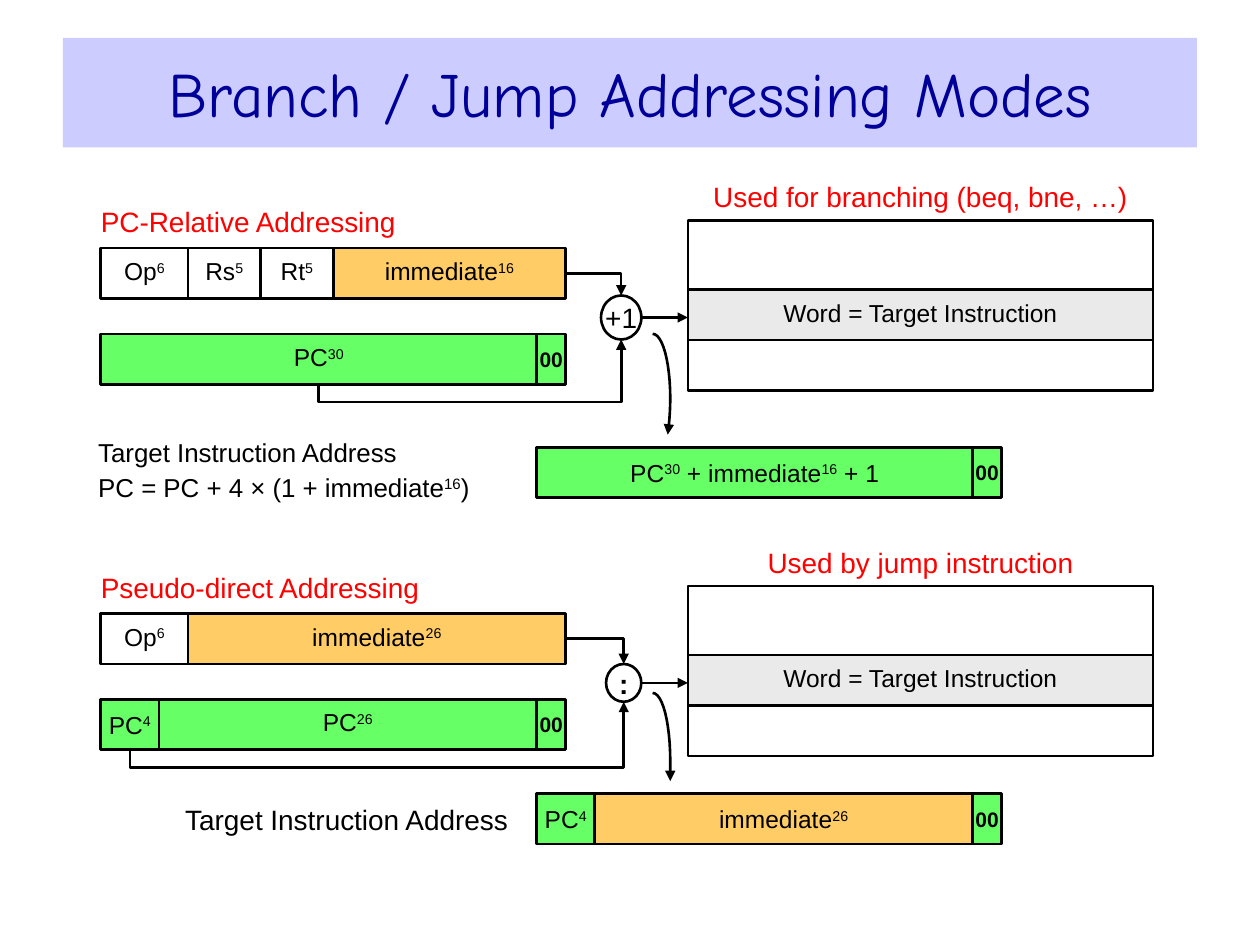
from lxml.etree import SubElement
from pptx import Presentation
from pptx.dml.color import RGBColor as Rgb
from pptx.enum.shapes import MSO_CONNECTOR as Link, MSO_SHAPE as Form
from pptx.enum.text import MSO_ANCHOR as Anchor, PP_ALIGN as Align
from pptx.oxml.ns import qn
from pptx.util import Inches as In, Pt

HUES = {
    "black": "000000", "white": "FFFFFF", "red": "FF0000", "navy": "000099",
    "lilac": "CCCCFF", "green": "66FF66", "amber": "FFCC66", "grey": "EAEAEA",
}
LEFT, RIGHT = 0.8, 5.46   # left edges of the instruction and memory columns
WORD = 3.69               # width of a 32-bit word
BIT = WORD / 32
ROW = 0.4
SUM = LEFT + 30 * BIT     # left edge of the target address word


def hue(name):
    return Rgb.from_string(HUES[name])


def write(shape, lines, size=14, color="black", bold=False, align=Align.CENTER,
          face="Arial", lead=None, wrap=True):
    """Fill a shape with lines; every second part between bars is raised."""
    frame = shape.text_frame
    frame.word_wrap = wrap
    frame.vertical_anchor = Anchor.MIDDLE
    frame.margin_left = frame.margin_right = 0
    frame.margin_top = frame.margin_bottom = 0
    for row, line in enumerate(lines):
        para = frame.add_paragraph() if row else frame.paragraphs[0]
        para.alignment = align
        if row:
            para.space_before = Pt(2)
        if lead:
            para.line_spacing = lead
        for part, text in enumerate(line.split("|")):
            if not text:
                continue
            run = para.add_run()
            run.text = text
            font = run.font
            font.name, font.size, font.bold = face, Pt(size), bold
            font.color.rgb = hue(color)
            if part % 2:
                run._r.get_or_add_rPr().set("baseline", "30000")


def label(slide, x, y, w, h, *lines, **style):
    write(slide.shapes.add_textbox(In(x), In(y), In(w), In(h)), lines, **style)


def ink(line):
    line.color.rgb = hue("black")
    line.width = Pt(1.5)


def box(slide, x, y, w, h, fill=None, form=Form.RECTANGLE, edge=True):
    shape = slide.shapes.add_shape(form, In(x), In(y), In(w), In(h))
    shape.shadow.inherit = False
    if fill:
        shape.fill.solid()
        shape.fill.fore_color.rgb = hue(fill)
    else:
        shape.fill.background()
    if edge:
        ink(shape.line)
    else:
        shape.line.fill.background()
    return shape


def fields(slide, x, y, parts):
    """Draw a word as fields of (text, bits, fill), as wide as their bits."""
    for text, bits, fill in parts:
        cell = box(slide, x, y, bits * BIT, ROW, fill)
        if text == "00":
            write(cell, [text], size=12, bold=True)
        else:
            write(cell, [text], lead=0.85 if bits > 4 and x < SUM and y < 6 else None)
        x += bits * BIT


def tip(shape):
    SubElement(shape.line._get_or_add_ln(), qn("a:tailEnd"), type="triangle")


def arrow(slide, x1, y1, x2, y2, kind=Link.STRAIGHT):
    wire = slide.shapes.add_connector(kind, In(x1), In(y1), In(x2), In(y2))
    ink(wire.line)
    tip(wire)
    SubElement(wire._element.spPr, qn("a:effectLst"))
    return wire


def corner(slide, x1, y1, x2, y2):
    wire = arrow(slide, x1, y1, x2, y2, Link.ELBOW)
    wire._element.spPr.find(qn("a:prstGeom")).set("prst", "bentConnector2")


def loop(slide, x1, y1, x2, y2, drop):
    """Run down by drop, across, then up: an elbow turned a quarter."""
    mx, my = (x1 + x2) / 2, (y1 + y2) / 2
    dx, dy = (y1 - y2) / 2, (x2 - x1) / 2
    wire = arrow(slide, mx + dx, my + dy, mx - dx, my - dy, Link.ELBOW)
    props = wire._element.spPr
    props.find(qn("a:xfrm")).set("rot", "5400000")
    geom = props.find(qn("a:prstGeom"))
    guides = geom.find(qn("a:avLst"))
    if guides is None:
        guides = SubElement(geom, qn("a:avLst"))
    ratio = round(-drop / (y1 - y2) * 100000)
    SubElement(guides, qn("a:gd"), name="adj1", fmla=f"val {ratio}")


def bezier(a, b, c, d, steps=12):
    for i in range(1, steps + 1):
        t = i / steps
        u = 1 - t
        yield tuple(u**3 * p + 3 * u * u * t * q + 3 * u * t * t * r + t**3 * s
                    for p, q, r, s in zip(a, b, c, d))


def curve(slide, x, y, bend, end):
    """Curve down from x, y by way of a bend to an arrowhead at end."""
    bx, by = bend
    ex, ey = end
    dots = [*bezier((x, y), (x + 0.08, y), (bx, y + (by - y) * 0.45), bend),
            *bezier(bend, (bx, by + (ey - by) * 0.38),
                    (ex + (bx - ex) / 2, by + (ey - by) * 0.72), end)]
    pen = slide.shapes.build_freeform(In(x), In(y))
    pen.add_line_segments([(In(px), In(py)) for px, py in dots], close=False)
    path = pen.convert_to_shape()
    path.shadow.inherit = False
    path.fill.background()
    ink(path.line)
    tip(path)


def mode(slide, top, name, use, code, count, sign, node, tap):
    """Draw one addressing mode whose instruction word starts at top."""
    mid = top + 0.55
    x, w, h = node
    hub = x + w / 2
    head = dict(size=16, color="red")
    label(slide, LEFT, top - 0.37, WORD, 0.32, name, align=Align.LEFT, **head)
    label(slide, RIGHT, top - 0.57, WORD, 0.32, use, **head)
    write(box(slide, RIGHT, top + 0.33, WORD, ROW, "grey"),
          ["Word = Target Instruction"], lead=0.85)
    box(slide, RIGHT, top - 0.22, WORD, 1.35)
    fields(slide, LEFT, top, code)
    fields(slide, LEFT, top + 0.68, count)
    write(box(slide, x, mid - h / 2, w, h, "white", Form.OVAL),
          [sign], size=16, bold=sign == ":", wrap=False)
    corner(slide, LEFT + WORD, top + ROW / 2, hub, mid - h / 2)
    loop(slide, tap, top + 1.09, hub, mid + h / 2, 0.13)
    arrow(slide, x + w, mid, RIGHT, mid)


def main():
    deck = Presentation()
    deck.slide_width, deck.slide_height = In(10), In(7.5)
    slide = deck.slides.add_slide(deck.slide_layouts[6])
    write(box(slide, 0.5, 0.3, 9, 0.87, "lilac", edge=False),
          ["Branch / Jump Addressing Modes"], size=36, color="navy",
          face="Comic Neue")

    op, pad = ("Op|6", 6, "white"), ("00", 2, "green")
    high, jump = ("PC|4", 4, "green"), ("immediate|26", 26, "amber")

    mode(slide, 1.97, "PC-Relative Addressing", "Used for branching (beq, bne, …)",
         [op, ("Rs|5", 5, "white"), ("Rt|5", 5, "white"),
          ("immediate|16", 16, "amber")],
         [("PC|30", 30, "green"), pad], "+1", (4.77, 0.32, 0.35),
         LEFT + 15 * BIT)
    curve(slide, 5.18, 2.65, (5.32, 3.16), (5.3, 3.45))
    label(slide, 0.78, 3.45, 3.44, 0.55, "Target Instruction Address",
          "PC = PC + 4 × (1 + immediate|16|)", size=14.8, align=Align.LEFT)
    fields(slide, SUM, 3.55, [("PC|30| + immediate|16| + 1", 30, "green"), pad])

    mode(slide, 4.87, "Pseudo-direct Addressing", "Used by jump instruction",
         [op, jump], [high, ("PC|26", 26, "green"), pad],
         ":", (4.81, 0.28, 0.3), LEFT + 2 * BIT)
    curve(slide, 5.18, 5.5, (5.32, 6.04), (5.32, 6.2))
    label(slide, 1.47, 6.3, 2.74, ROW, "Target Instruction Address", size=16,
          align=Align.LEFT)
    fields(slide, SUM, 6.3, [high, jump, pad])

    deck.save("out.pptx")


if __name__ == "__main__":
    main()
